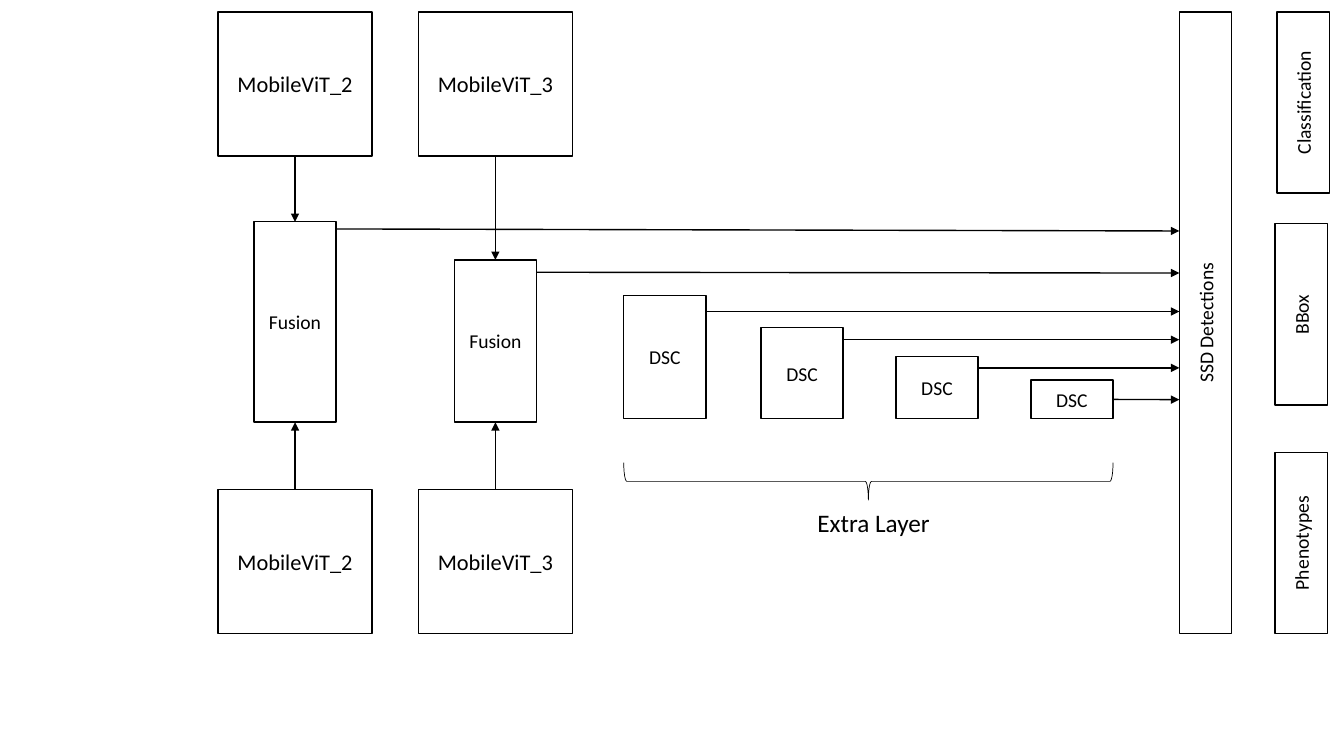
from lxml import etree
from pptx import Presentation
from pptx.dml.color import RGBColor
from pptx.enum.shapes import MSO_CONNECTOR, MSO_SHAPE
from pptx.enum.text import MSO_ANCHOR, MSO_AUTO_SIZE, PP_ALIGN
from pptx.oxml.ns import qn
from pptx.util import Cm, Pt

RECT, BRACE = MSO_SHAPE.RECTANGLE, MSO_SHAPE.LEFT_BRACE
LINE = MSO_CONNECTOR.STRAIGHT
LEFT, MID = PP_ALIGN.LEFT, PP_ALIGN.CENTER
TOP, DOWN, RIGHT = 0, 2, 3  # connection sites


def color(code):
    return RGBColor.from_string(code)


def write(frame, text, size=14, ink="000000", font="Calibri", align=MID):
    par = frame.paragraphs[0]
    par.alignment = align
    run = par.add_run()
    run.text = text
    run.font.name, run.font.size = font, Pt(size)
    run.font.color.rgb = color(ink)


class Board:
    """Draws on one slide in one style; lengths are centimetres."""
    ink, fill, width = "000000", "FFFFFF", 1

    def __init__(self, slide):
        self.slide = slide
        self.shapes = slide.shapes

    def stroke(self, item, width):
        item.line.color.rgb = color(self.ink)
        item.line.width = Pt(width)

    def box(self, text, x, y, w, h, size=14, turn=False):
        box = self.shapes.add_shape(RECT, Cm(x), Cm(y), Cm(w), Cm(h))
        box.shadow.inherit = False
        box.fill.solid()
        box.fill.fore_color.rgb = color(self.fill)
        self.stroke(box, self.width)
        frame = box.text_frame
        frame.word_wrap = True
        frame.vertical_anchor = MSO_ANCHOR.MIDDLE
        if turn:
            box.element.txBody.bodyPr.set("vert", "vert270")
        write(frame, text, size=size, ink=self.ink)
        return box

    def brace(self, left, right, y, depth):
        """Lay a brace from left to right, pointing down, centred on y."""
        span = right - left
        brace = self.shapes.add_shape(
            BRACE, Cm((left + right - depth) / 2), Cm(y - span / 2),
            Cm(depth), Cm(span))
        brace.rotation = 270
        brace.shadow.inherit = False
        brace.fill.background()
        self.stroke(brace, 0.5)

    def label(self, text, x, y, w, h, size):
        area = self.shapes.add_textbox(Cm(x), Cm(y), Cm(w), Cm(h))
        frame = area.text_frame
        frame.word_wrap = True
        frame.auto_size = MSO_AUTO_SIZE.SHAPE_TO_FIT_TEXT
        write(frame, text, size=size, ink=self.ink, align=LEFT)

    def arrow(self, x1, y1, x2, y2):
        arrow = self.shapes.add_connector(LINE, Cm(x1), Cm(y1), Cm(x2), Cm(y2))
        self.stroke(arrow, self.width)
        etree.SubElement(arrow.line._get_or_add_ln(), qn("a:tailEnd"),
                         type="triangle")
        etree.SubElement(arrow.element.spPr, qn("a:effectLst"))
        return arrow

    def join(self, start, out, end, into):
        arrow = self.arrow(0, 0, 1, 1)
        arrow.begin_connect(start, out)
        arrow.end_connect(end, into)


def main():
    deck = Presentation()
    deck.slide_width, deck.slide_height = Cm(33.87), Cm(19.05)
    board = Board(deck.slides.add_slide(deck.slide_layouts[6]))

    top, high = 0.3, 15.67
    ssd_x, bar_w = 29.72, 1.32
    board.box("SSD Detections", ssd_x, top, bar_w, high, turn=True)
    for text, x, y in (("Classification", 32.18, top), ("BBox", 32.13, 5.64),
                       ("Phenotypes", 32.13, 11.4)):
        board.box(text, x, y, bar_w, 4.57, turn=True)

    net_w, net_h, cell_w = 3.89, 3.63, 2.07
    fuse_end = 10.64
    # name, left, top of the fusion box, height of its arrow at both ends
    for name, x, y, out_y, in_y in (("MobileViT_2", 5.49, 5.59, 5.77, 5.82),
                                    ("MobileViT_3", 10.54, 6.55, 6.86, 6.88)):
        upper = board.box(name, x, top, net_w, net_h, size=16)
        lower = board.box(name, x, top + high - net_h, net_w, net_h, size=16)
        fuse_x = x + (net_w - cell_w) / 2
        fusion = board.box("Fusion", fuse_x, y, cell_w, fuse_end - y)
        board.join(upper, DOWN, fusion, TOP)
        board.join(lower, TOP, fusion, DOWN)
        board.arrow(fuse_x + cell_w, out_y, ssd_x, in_y)

    layers = ((15.72, 7.44, 7.85), (19.18, 8.26, 8.56),
              (22.58, 8.99, 9.27), (25.98, 9.58, 10.07))
    dsc_end = 10.55
    for x, y, out_y in layers:
        dsc = board.box("DSC", x, y, cell_w, dsc_end - y)
        arrow = board.arrow(x + cell_w, out_y, ssd_x, out_y)
        if abs(out_y - (y + dsc_end) / 2) < 0.02:
            arrow.begin_connect(dsc, RIGHT)

    board.brace(layers[0][0], layers[-1][0] + cell_w, 12.13, 0.94)
    board.label("Extra Layer", 20.35, 12.65, 3.48, 1.02, 18)
    deck.save("out.pptx")


if __name__ == "__main__":
    main()
